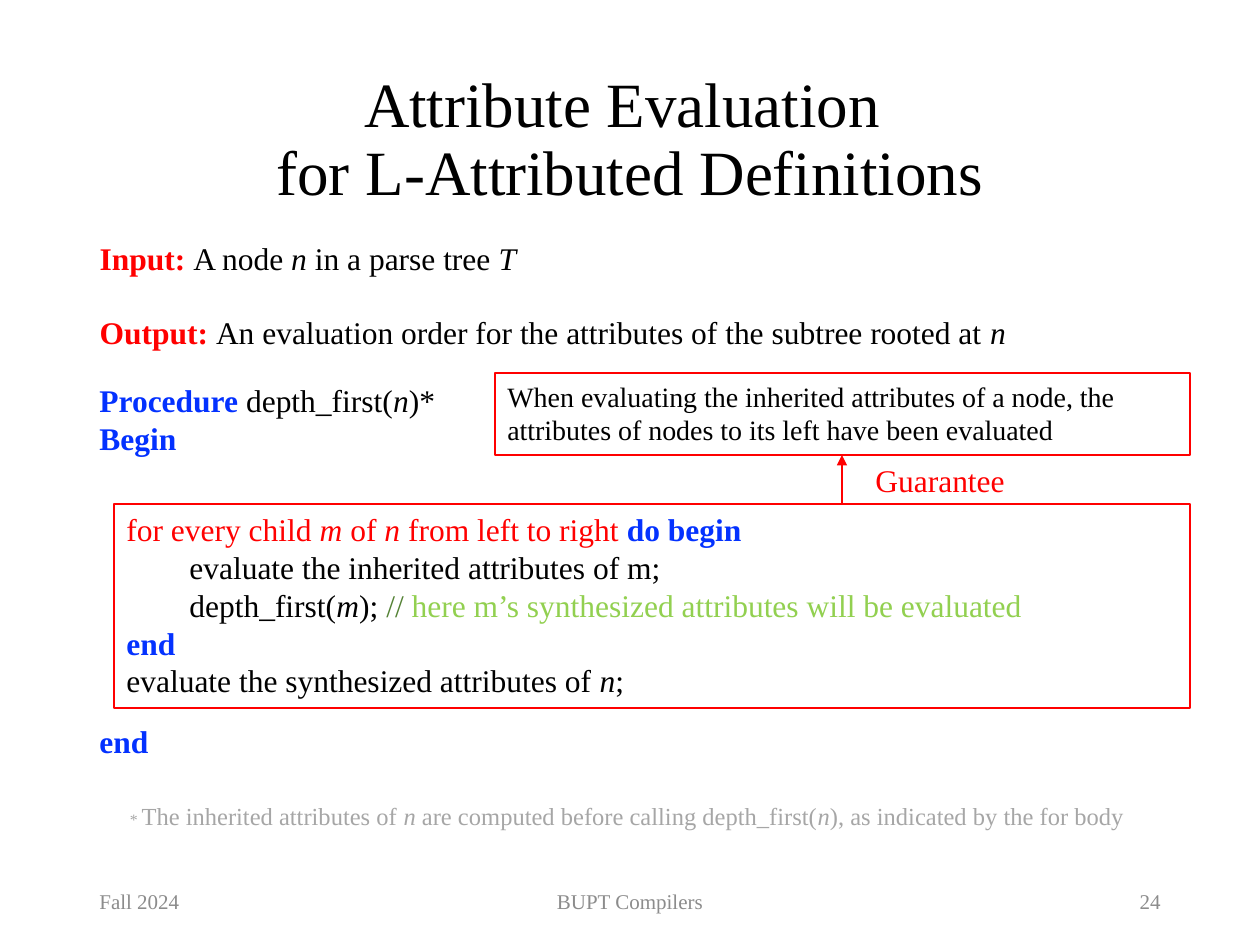
from lxml.etree import SubElement
from pptx import Presentation
from pptx.dml.color import RGBColor
from pptx.enum.shapes import MSO_CONNECTOR
from pptx.enum.text import MSO_ANCHOR, MSO_AUTO_SIZE, PP_ALIGN
from pptx.oxml.ns import qn
from pptx.util import Emu, Pt

PX_PER_INCH = 126
FONT = "Times New Roman"
BLACK, RED, GREY, PALE = "000000", "FF0000", "8C8C8C", "A6A6A6"
BLUE, BRIGHT_BLUE, DARK_GREEN, GREEN = "0331FF", "0432FF", "548235", "92D050"
LEFT, CENTER, RIGHT = PP_ALIGN.LEFT, PP_ALIGN.CENTER, PP_ALIGN.RIGHT

# A paragraph is a list of runs: (text, colour, style), style "b" bold or "i" italic.
TITLE = [[("Attribute Evaluation \vfor L-Attributed Definitions", BLACK, "")]]
SPECIFICATION = [
    [("Input: ", RED, "b"), ("A node ", BLACK, ""), ("n", BLACK, "i"),
     (" in a parse tree ", BLACK, ""), ("T", BLACK, "i")],
    [("Output: ", RED, "b"),
     ("An evaluation order for the attributes of the subtree rooted at ", BLACK, ""),
     ("n", BLACK, "i")],
]
PROCEDURE = [
    [("Procedure ", BLUE, "b"), ("depth_first(", BLACK, ""), ("n", BLACK, "i"),
     (")*", BLACK, "")],
    [("Begin", BLUE, "b")],
]
PROCEDURE_END = [[("end", BLUE, "b")]]
LOOP = [
    [("for every child ", RED, ""), ("m", RED, "i"), (" of ", RED, ""), ("n", RED, "i"),
     (" from left to right ", RED, ""), ("do begin", BRIGHT_BLUE, "b")],
    [("evaluate the inherited attributes of m;", BLACK, "")],
    [("depth_first(", BLACK, ""), ("m", BLACK, "i"), ("); ", BLACK, ""),
     ("// ", DARK_GREEN, ""),
     ("here m’s synthesized attributes will be evaluated", GREEN, "")],
    [("end", BRIGHT_BLUE, "b")],
    [("evaluate the synthesized attributes of ", BLACK, ""), ("n", BLACK, "i"),
     (";", BLACK, "")],
]
LOOP_BODY = (1, 2)
GUARANTEE = [[("When evaluating the inherited attributes of a node, the attributes "
               "of nodes to its left have been evaluated", BLACK, "")]]
GUARANTEE_LABEL = [[("Guarantee", RED, "")]]
FOOTNOTE = [[("* ", PALE, ""), ("The inherited attributes of ", PALE, ""),
             ("n", PALE, "i"), (" are computed before calling depth_first(", PALE, ""),
             ("n", PALE, "i"), ("), as indicated by the for body ", PALE, "")]]

# text, left, width, alignment
FOOTERS = [("Fall 2024", 87, 284, LEFT), ("BUPT Compilers", 417, 426, CENTER),
           ("24", 889, 284, RIGHT)]

GUARANTEE_BOX = (495, 373, 695, 82)
LOOP_BOX = (114, 504, 1076, 204)


def px(value):
    return Emu(round(value * 914400 / PX_PER_INCH))


def rgb(value):
    return RGBColor.from_string(value)


def place(shape, box):
    shape.left, shape.top, shape.width, shape.height = map(px, box)


def write(frame, paragraphs, size, align=LEFT, anchor=MSO_ANCHOR.TOP):
    frame.word_wrap = True
    frame.auto_size = MSO_AUTO_SIZE.NONE
    frame.vertical_anchor = anchor
    for number, runs in enumerate(paragraphs):
        paragraph = frame.add_paragraph() if number else frame.paragraphs[0]
        paragraph.alignment = align
        paragraph.font.size = Pt(size)
        paragraph.font.name = FONT
        for text, color, style in runs:
            for part_number, part in enumerate(text.split("\v")):
                if part_number:
                    paragraph.add_line_break()
                run = paragraph.add_run()
                run.text = part
                run.font.color.rgb = rgb(color)
                run.font.size = Pt(size)
                run.font.name = FONT
                if style:
                    run.font.bold = style == "b"
                    run.font.italic = style == "i"
    return frame


def add_text(slide, box, paragraphs, size, outlined=False, **layout):
    shape = slide.shapes.add_textbox(*map(px, box))
    if outlined:
        shape.line.color.rgb = rgb(RED)
        shape.line.width = Pt(1)
    return write(shape.text_frame, paragraphs, size, **layout)


def add_arrow(slide, start, end):
    arrow = slide.shapes.add_connector(MSO_CONNECTOR.STRAIGHT, *map(px, start + end))
    arrow.line.color.rgb = rgb(RED)
    arrow.line.width = Pt(1)
    SubElement(arrow.line._get_or_add_ln(), qn("a:tailEnd"), type="triangle")
    SubElement(arrow._element.spPr, qn("a:effectLst"))


def remove_bullet(paragraph):
    properties = paragraph._p.get_or_add_pPr()
    properties.set("marL", "0")
    properties.set("indent", "0")
    SubElement(properties, qn("a:buNone"))


def main():
    presentation = Presentation()
    presentation.slide_width, presentation.slide_height = px(1260), px(945)
    slide = presentation.slides.add_slide(presentation.slide_layouts[1])
    title, body = slide.placeholders

    place(title, (87, 50, 1086, 183))
    write(title.text_frame, TITLE, 36, CENTER, MSO_ANCHOR.MIDDLE)
    title.text_frame.paragraphs[0].line_spacing = 0.9

    place(body, (87, 214, 1086, 149))
    for number, paragraph in enumerate(write(body.text_frame, SPECIFICATION, 18).paragraphs):
        paragraph.line_spacing = 1.5
        paragraph.space_before = Pt(10 if number else 0)
        remove_bullet(paragraph)

    add_text(slide, (87, 375, 400, 90), PROCEDURE, 18)
    add_text(slide, (87, 716, 100, 50), PROCEDURE_END, 18)
    add_text(slide, GUARANTEE_BOX, GUARANTEE, 16, outlined=True)
    loop = add_text(slide, LOOP_BOX, LOOP, 18, outlined=True)
    for number in LOOP_BODY:
        loop.paragraphs[number]._p.get_or_add_pPr().set("marL", str(px(63)))

    left, top, width, height = GUARANTEE_BOX
    middle = left + width // 2
    add_arrow(slide, (middle, LOOP_BOX[1]), (middle, top + height))
    add_text(slide, (863, 455, 156, 50), GUARANTEE_LABEL, 18)

    footnote = add_text(slide, (0, 795, 1260, 43), FOOTNOTE, 14, align=CENTER)
    footnote.paragraphs[0].runs[0].font.size = Pt(9)

    for text, left, width, align in FOOTERS:
        add_text(slide, (left, 876, width, 50), [[(text, GREY, "")]], 12,
                 align=align, anchor=MSO_ANCHOR.MIDDLE)

    presentation.save("out.pptx")


if __name__ == "__main__":
    main()
